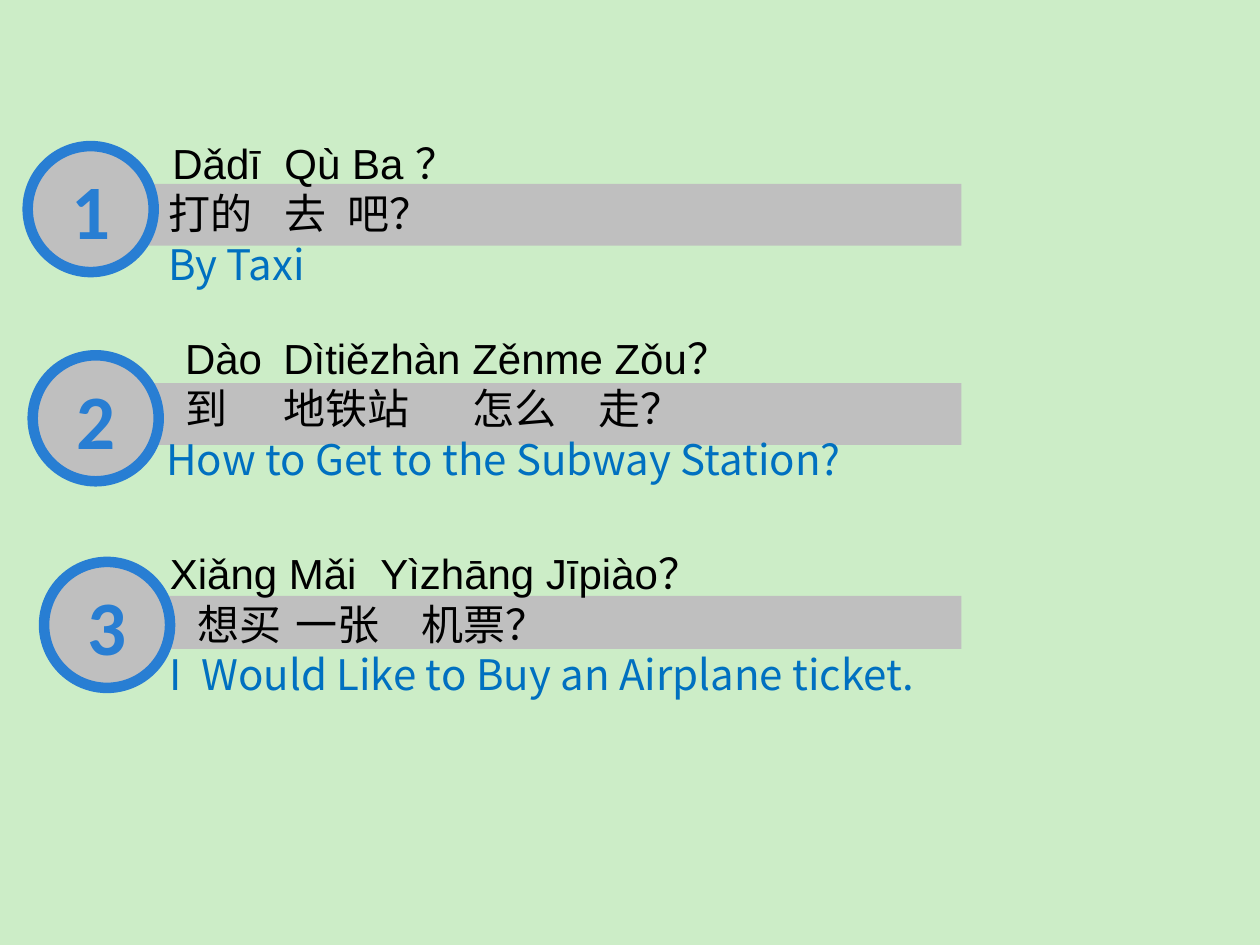
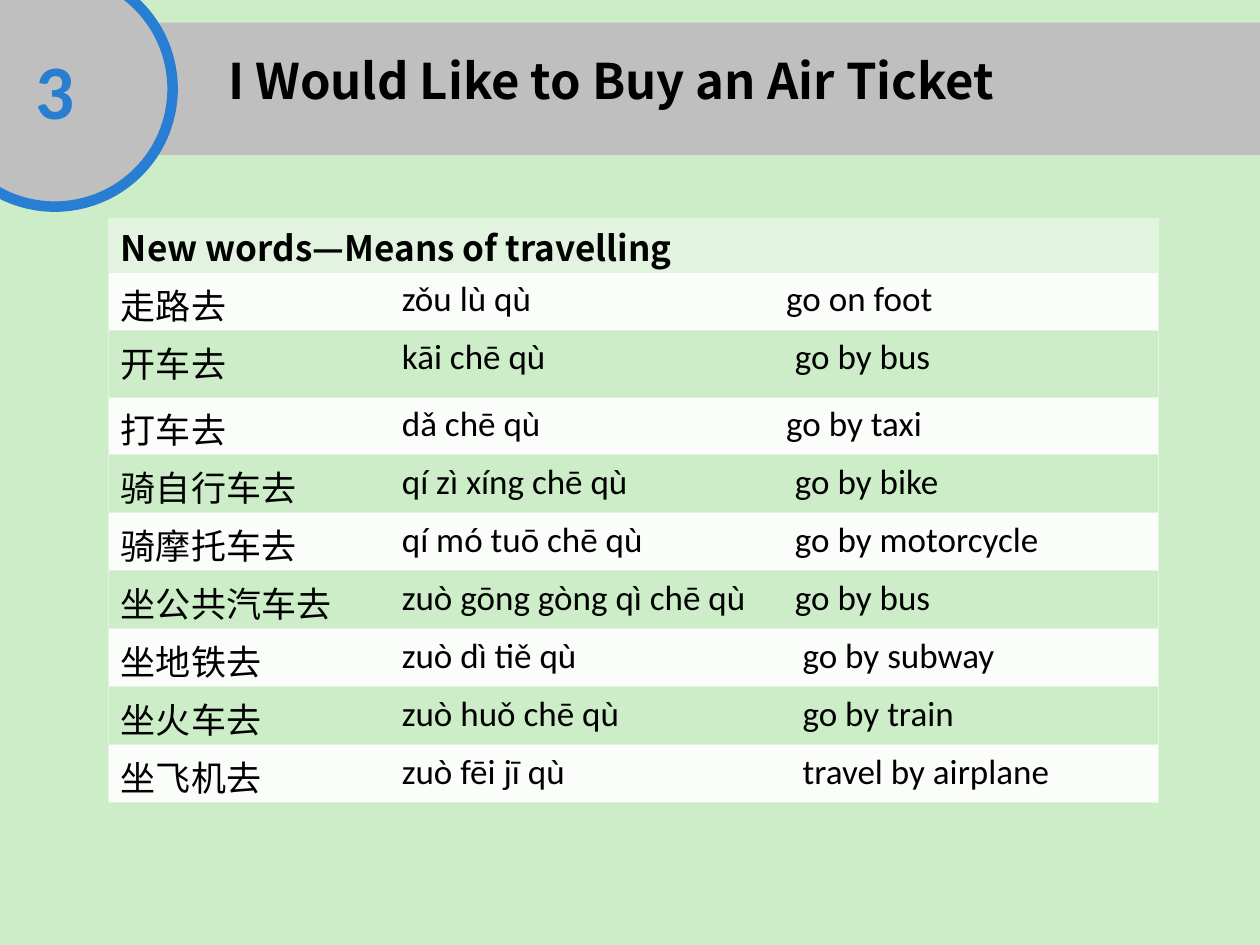
from lxml import etree
from pptx import Presentation
from pptx.dml.color import RGBColor
from pptx.enum import shapes, text
from pptx.oxml.ns import qn
from pptx.util import Emu, Inches, Pt

# Shared look
MINT = RGBColor(0xCC, 0xED, 0xC7)
GRAY = RGBColor(0xBF, 0xBF, 0xBF)
BLUE = RGBColor(0x28, 0x7E, 0xD3)
TRANSLATION_BLUE = RGBColor(0x00, 0x70, 0xC0)
BLACK = RGBColor(0x00, 0x00, 0x00)
HEADER_FILL = RGBColor(0xE2, 0xF4, 0xE0)
PALE_FILL = RGBColor(0xFA, 0xFD, 0xF9)
CJK_FONT = "Noto Sans CJK SC"
NO_TABLE_STYLE = "{2D5ABB26-0587-4C30-8999-92F81FD0307C}"

BADGE_FORMAT = {"size": Pt(44), "name": "Calibri", "bold": True}
TITLE_FORMAT = {"size": Pt(28), "name": CJK_FONT, "bold": True}
PINYIN_FORMAT = {"size": Pt(24), "name": "Arial"}
HANZI_FORMAT = {"size": Pt(24), "name": CJK_FONT}
HEADER_FORMAT = {"size": Pt(20), "name": CJK_FONT, "bold": True}
WORD_FORMAT = {"size": Pt(20), "name": "Calibri", "bold": False}

# Slide 1: each line is (text, first-line indent, tab stops), in inches
LINE_STYLES = [
    (PINYIN_FORMAT, BLACK),
    (HANZI_FORMAT, BLACK),
    (HANZI_FORMAT, TRANSLATION_BLUE),
]
LESSONS = [
    {
        "bar": (1.16, 1.46, 6.47, 0.49),
        "badge": (0.22, 1.16, 1, 1),
        "box": (1.16, 1.04, 5.6, 1.37),
        "lines": [
            ("Dǎdī\tQù Ba ？", 0.11, [1.07]),
            ("打的\t去\t吧？", 0.08, [0.97, 1.45]),
            ("By Taxi", 0.08, []),
        ],
    },
    {
        "bar": (1.16, 3.04, 6.47, 0.49),
        "badge": (0.26, 2.82, 1, 1),
        "box": (1.15, 2.59, 8.75, 1.37),
        "lines": [
            ("Dào\tDìtiězhàn\tZěnme Zǒu？", 0.22, [0.99, 2.59]),
            ("到\t地铁站\t怎么\t走？", 0.22, [0.93, 2.3, 3.34]),
            ("How to Get to the Subway Station?", 0.07, []),
        ],
    },
    {
        "bar": (1.16, 4.73, 6.47, 0.42),
        "badge": (0.35, 4.46, 1, 1),
        "box": (1.25, 4.3, 6.67, 1.3),
        "lines": [
            ("Xiǎng Mǎi\tYìzhāng Jīpiào？", 0, [1.67]),
            ("想买\t一张\t机票？", 0.22, [1.49, 2.6]),
            ("I\tWould Like to Buy an Airplane ticket.", 0, [0.25]),
        ],
    },
]

# Slide 2: hanzi, pinyin, English, English indent in inches
TITLE = "I Would Like to Buy an Air Ticket"
TABLE_HEADER = "New words—Means of travelling"
TRAVEL_WORDS = [
    ("走路去", "zǒu lù qù", "go on foot", 0.06),
    ("开车去", "kāi chē qù", "go by bus", 0.13),
    ("打车去", "dǎ chē qù", "go by taxi", 0.06),
    ("骑自行车去", "qí zì xíng chē qù", "go by bike", 0.13),
    ("骑摩托车去", "qí mó tuō chē qù", "go by motorcycle", 0.13),
    ("坐公共汽车去", "zuò gōng gòng qì chē qù", "go by bus", 0.13),
    ("坐地铁去", "zuò dì tiě qù", "go by subway", 0.19),
    ("坐火车去", "zuò huǒ chē qù", "go by train", 0.19),
    ("坐飞机去", "zuò fēi jī qù", "travel by airplane", 0.19),
]
COLUMN_WIDTHS = [2.23, 2.99, 3.11]
ROW_HEIGHTS = [0.43, 0.46, 0.53] + [0.46] * 7


def inches(values):
    return [Inches(value) for value in values]


def write(paragraph, content, font_format, color=BLACK, indent=0, tabs=(),
          align=text.PP_ALIGN.LEFT):
    paragraph.alignment = align
    properties = paragraph._p.get_or_add_pPr()
    if indent:
        properties.set("marL", "0")
        properties.set("indent", str(Inches(indent)))
    if tabs:
        tab_list = etree.SubElement(properties, qn("a:tabLst"))
        for position in tabs:
            etree.SubElement(tab_list, qn("a:tab"), pos=str(Inches(position)), algn="l")
    run = paragraph.add_run()
    run.text = content
    run.font.color.rgb = color
    for name, value in font_format.items():
        setattr(run.font, name, value)
    etree.SubElement(run._r.get_or_add_rPr(), qn("a:ea"), typeface=CJK_FONT)


def add_filled(container, kind, place):
    shape = container.add_shape(kind, *inches(place))
    shape.shadow.inherit = False
    shape.fill.solid()
    shape.fill.fore_color.rgb = GRAY
    shape.line.fill.background()
    return shape


def add_numbered_bar(container, bar, badge, number):
    add_filled(container, shapes.MSO_SHAPE.RECTANGLE, bar)
    circle = add_filled(container, shapes.MSO_SHAPE.OVAL, badge)
    circle.line.color.rgb = BLUE
    circle.line.width = Pt(6)
    circle.text_frame.vertical_anchor = text.MSO_ANCHOR.MIDDLE
    write(circle.text_frame.paragraphs[0], str(number), BADGE_FORMAT, BLUE,
          align=text.PP_ALIGN.CENTER)


def style_cell(cell, fill, sides, top_margin):
    cell.margin_top, cell.margin_bottom = Inches(top_margin), 0
    properties = cell._tc.get_or_add_tcPr()
    for side in sides:
        line = etree.SubElement(properties, qn(f"a:ln{side}"), w=str(Pt(0.45)))
        solid = etree.SubElement(line, qn("a:solidFill"))
        etree.SubElement(solid, qn("a:srgbClr"), val=str(HEADER_FILL))
    cell.fill.solid()
    cell.fill.fore_color.rgb = fill


def build_lessons(presentation):
    slide = presentation.slides.add_slide(presentation.slide_layouts[6])
    for number, lesson in enumerate(LESSONS, 1):
        add_numbered_bar(slide.shapes, lesson["bar"], lesson["badge"], number)
    for lesson in LESSONS:
        frame = slide.shapes.add_textbox(*inches(lesson["box"])).text_frame
        frame.word_wrap = True
        for index, (line, style) in enumerate(zip(lesson["lines"], LINE_STYLES)):
            paragraph = frame.add_paragraph() if index else frame.paragraphs[0]
            content, indent, tabs = line
            write(paragraph, content, *style, indent, tabs)


def build_travel_words(presentation):
    slide = presentation.slides.add_slide(presentation.slide_layouts[5])

    # Title band
    band = slide.shapes.add_group_shape()
    add_numbered_bar(band.shapes, (0.86, 0.18, 9.14, 1.05), (-0.5, -0.23, 1.87, 1.87), 3)
    title = slide.shapes.title
    title.left, title.top, title.width, title.height = inches((1.71, 0.35, 8.29, 0.57))
    title.text_frame.auto_size = text.MSO_AUTO_SIZE.NONE
    title.text_frame.vertical_anchor = text.MSO_ANCHOR.TOP
    write(title.text_frame.paragraphs[0], TITLE, TITLE_FORMAT)
    band.element.addnext(title.element)

    # Word table
    size = (sum(COLUMN_WIDTHS), sum(ROW_HEIGHTS))
    frame = slide.shapes.add_table(len(ROW_HEIGHTS), len(COLUMN_WIDTHS),
                                   *inches((0.86, 1.73) + size))
    frame.element.find(".//" + qn("a:tableStyleId")).text = NO_TABLE_STYLE
    table = frame.table
    for column, width in zip(table.columns, COLUMN_WIDTHS):
        column.width = Inches(width)
    for row, height in zip(table.rows, ROW_HEIGHTS):
        row.height = Inches(height)

    header = table.cell(0, 0)
    header.merge(table.cell(0, 2))
    for cell in table.rows[0].cells:
        style_cell(cell, HEADER_FILL, "LRTB", 0.02)
    write(header.text_frame.paragraphs[0], TABLE_HEADER, HEADER_FORMAT)

    for row, (*words, english_indent) in enumerate(TRAVEL_WORDS, 1):
        fill = PALE_FILL if row % 2 else MINT
        for column, (word, sides) in enumerate(zip(words, ("LTB", "TB", "RTB"))):
            cell = table.cell(row, column)
            style_cell(cell, fill, sides, 0.05)
            write(cell.text_frame.paragraphs[0], word, WORD_FORMAT,
                  indent=english_indent if column == 2 else 0)


def main():
    presentation = Presentation()
    presentation.slide_width, presentation.slide_height = inches((10, 7.5))
    background = presentation.slide_master.background.fill
    background.solid()
    background.fore_color.rgb = MINT
    build_lessons(presentation)
    build_travel_words(presentation)
    presentation.save("out.pptx")


if __name__ == "__main__":
    main()
